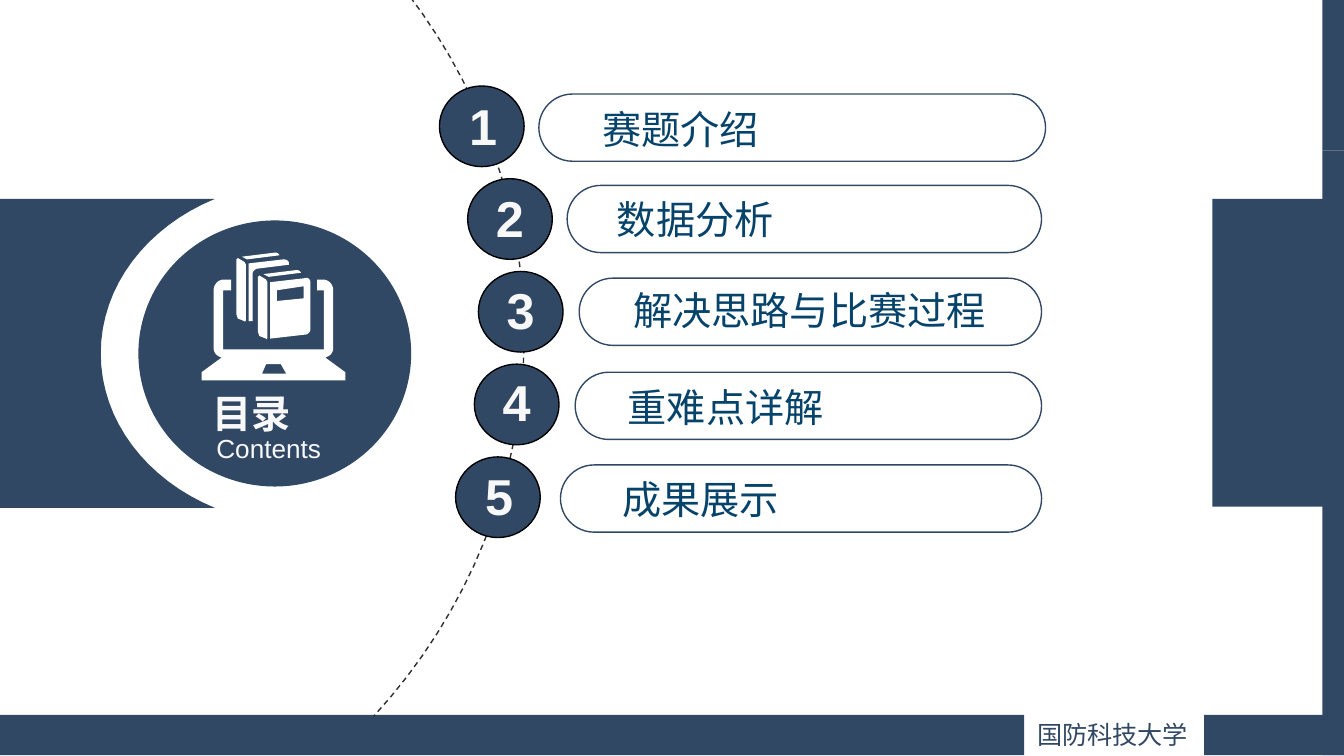
from lxml.etree import SubElement
from pptx import Presentation
from pptx.dml.color import RGBColor
from pptx.enum.dml import MSO_LINE
from pptx.enum.shapes import MSO_SHAPE
from pptx.enum.text import MSO_AUTO_SIZE, PP_ALIGN
from pptx.oxml.ns import qn
from pptx.util import Inches, Pt

NAVY = RGBColor(0x31, 0x48, 0x65)
BLUE = RGBColor(0x06, 0x43, 0x6B)
PALE = RGBColor(0xF8, 0xF8, 0xF8)
WHITE = RGBColor(0xFF, 0xFF, 0xFF)
BLACK = RGBColor(0, 0, 0)
CHARCOAL = RGBColor(0x2E, 0x2C, 0x2C)
LATIN_FONT = "Arial"
CHINESE_FONT = "Noto Sans CJK SC"

# title, circle left, pill (left, top, width), title (left, top, width), number (left, top)
TOPICS = [
    ("赛题介绍", 3.27, (4.01, 0.70, 3.77), (4.39, 0.74, 1.36), (3.40, 0.67)),
    ("数据分析", 3.48, (4.22, 1.38, 3.53), (4.50, 1.41, 1.36), (3.60, 1.35)),
    ("解决思路与比赛过程", 3.56, (4.31, 2.07, 3.44), (4.62, 2.09, 2.83), (3.68, 2.04)),
    ("重难点详解", 3.53, (4.28, 2.77, 3.47), (4.58, 2.81, 1.65), (3.65, 2.72)),
    ("成果展示", 3.39, (4.17, 3.46, 3.58), (4.54, 3.50, 1.36), (3.52, 3.42)),
]
CIRCLE_TOP, ROW_STEP = 0.64, 0.69

FRAME_BARS = [
    (9.84, 0, 0.16, 1.12),
    (9.84, 1.12, 0.16, 4.5),
    (0, 5.32, 7.62, 0.3),
    (8.96, 5.32, 1.04, 0.3),
]
RIGHT_BAND = (9.02, 1.48, 0.98, 2.29)

# Pairs are corners; six numbers are a Bezier curve from the previous point.
LEFT_BAND = [[
    (1.6, 3.78), (0, 3.78), (0, 1.48), (1.6, 1.48),
    (1.09, 1.69, 0.75, 2.13, 0.75, 2.63), (0.75, 3.13, 1.09, 3.57, 1.6, 3.78),
]]
GUIDE_ARC = [[
    (2.78, -0.35), (3.48, 0.41, 3.9, 1.4, 3.9, 2.49),
    (3.9, 3.57, 3.48, 4.57, 2.78, 5.33),
]]
BACK_BOOK_TOP = [(1.8, 1.91), (1.84, 1.93), (2.08, 1.9), (2.07, 1.88, 2.06, 1.88, 2.04, 1.88)]
BACK_BOOK_SPINE = [
    (1.77, 1.92), (1.82, 1.95), (1.83, 1.97), (1.83, 2.38),
    (1.83, 2.39, 1.82, 2.4, 1.82, 2.39), (1.77, 2.37), (1.76, 2.34), (1.76, 1.93),
]
FRONT_COVER = [
    (2.01, 2.1), (2.27, 2.07), (2.29, 2.06, 2.31, 2.08, 2.31, 2.1),
    (2.31, 2.45), (2.31, 2.47, 2.29, 2.49, 2.27, 2.49), (2.01, 2.52),
]
COVER_LABEL = [(2.06, 2.16), (2.26, 2.13), (2.26, 2.22), (2.06, 2.24)]
MIDDLE_BOOK = [
    (1.85, 1.96), (2.11, 1.93), (2.13, 1.93, 2.15, 1.94, 2.15, 1.96), (2.15, 1.97),
    (1.91, 2), (1.89, 2.01, 1.88, 2.02, 1.88, 2.04), (1.88, 2.39), (1.85, 2.39),
]
TOUCHPAD = [(1.98, 2.71), (2.09, 2.71), (2.13, 2.78), (1.95, 2.78)]
LAPTOP = [
    (1.66, 2.16), (1.72, 2.16), (1.72, 2.08), (1.67, 2.08),
    (1.62, 2.08, 1.59, 2.12, 1.59, 2.16), (1.59, 2.59),
    (1.59, 2.62, 1.61, 2.65, 1.65, 2.66), (1.5, 2.77), (1.5, 2.83), (2.57, 2.83),
    (2.57, 2.77), (2.42, 2.66), (2.46, 2.65, 2.48, 2.62, 2.48, 2.59), (2.48, 2.16),
    (2.48, 2.12, 2.45, 2.08, 2.4, 2.08), (2.36, 2.08), (2.36, 2.16), (2.41, 2.16),
    (2.41, 2.6), (1.66, 2.6),
]


def shifted(contour, across, down):
    return [
        tuple(value + (down if i % 2 else across) for i, value in enumerate(point))
        for point in contour
    ]


ICON = [
    TOUCHPAD, BACK_BOOK_TOP, BACK_BOOK_SPINE,
    shifted(BACK_BOOK_TOP, 0.16, 0.13), shifted(BACK_BOOK_SPINE, 0.16, 0.13),
    FRONT_COVER, COVER_LABEL, MIDDLE_BOOK, LAPTOP,
]


def flatten(contour, steps=16):
    points = []
    for item in contour:
        if len(item) == 2:
            points.append(item)
            continue
        x0, y0 = points[-1]
        x1, y1, x2, y2, x3, y3 = item
        for step in range(1, steps + 1):
            t = step / steps
            a, b, c, d = (1 - t) ** 3, 3 * t * (1 - t) ** 2, 3 * t * t * (1 - t), t ** 3
            points.append((a * x0 + b * x1 + c * x2 + d * x3,
                           a * y0 + b * y1 + c * y2 + d * y3))
    return [(Inches(x), Inches(y)) for x, y in points]


def style(shape, fill=None, line=None, width=0.75):
    shape.shadow.inherit = False
    if fill is None:
        shape.fill.background()
    else:
        shape.fill.solid()
        shape.fill.fore_color.rgb = fill
    if line is None:
        shape.line.fill.background()
    else:
        shape.line.color.rgb = line
        shape.line.width = Pt(width)
    return shape


def add_shape(page, kind, area, **look):
    return style(page.shapes.add_shape(kind, *map(Inches, area)), **look)


def add_outline(page, contours, close=True, **look):
    builder = None
    for contour in contours:
        start, *rest = flatten(contour)
        if builder is None:
            builder = page.shapes.build_freeform(*start)
        else:
            builder.move_to(*start)
        builder.add_line_segments(rest, close=close)
    return style(builder.convert_to_shape(), **look)


def add_text(page, text, area, size, color, font=LATIN_FONT, bold=False,
             wrap=False, align=PP_ALIGN.LEFT, insets=(0.09, 0.04)):
    frame = page.shapes.add_textbox(*map(Inches, area)).text_frame
    frame.word_wrap = wrap
    frame.auto_size = MSO_AUTO_SIZE.SHAPE_TO_FIT_TEXT
    frame.margin_left = frame.margin_right = Inches(insets[0])
    frame.margin_top = frame.margin_bottom = Inches(insets[1])
    frame.text = text
    paragraph = frame.paragraphs[0]
    paragraph.alignment = align
    span = paragraph.runs[0]
    span.font.size = Pt(size)
    span.font.bold = bold
    span.font.color.rgb = color
    span.font.name = font
    SubElement(span.font._element, qn("a:ea")).set("typeface", CHINESE_FONT)


def main():
    deck = Presentation()
    deck.slide_width = Inches(10)
    deck.slide_height = deck.slide_width * 9 // 16
    page = deck.slides.add_slide(deck.slide_layouts[6])

    for area in FRAME_BARS:
        add_shape(page, MSO_SHAPE.RECTANGLE, area, fill=NAVY)
    add_text(page, "国防科技大学", (7.62, 5.3, 1.34, 0.33), 13.5, NAVY,
             font=CHINESE_FONT, insets=(0.1, 0.05))
    add_shape(page, MSO_SHAPE.RECTANGLE, RIGHT_BAND, fill=NAVY)
    add_outline(page, LEFT_BAND, fill=NAVY)
    arc = add_outline(page, GUIDE_ARC, close=False, line=CHARCOAL, width=0)
    arc.line.dash_style = MSO_LINE.DASH

    for row, (_, circle_left, *_) in enumerate(TOPICS):
        add_shape(page, MSO_SHAPE.OVAL, (circle_left, CIRCLE_TOP + row * ROW_STEP, 0.63, 0.6),
                  fill=NAVY, line=BLACK)
    for _, _, pill_place, _, _ in TOPICS:
        pill = add_shape(page, MSO_SHAPE.ROUNDED_RECTANGLE, (*pill_place, 0.5), line=NAVY)
        pill.adjustments[0] = 0.5
    for title, _, _, title_place, _ in TOPICS:
        add_text(page, title, (*title_place, 0.44), 21, BLUE)
    for number, (*_, number_place) in enumerate(TOPICS, 1):
        add_text(page, str(number), (*number_place, 0.37, 0.54), 27, PALE, bold=True)

    add_shape(page, MSO_SHAPE.OVAL, (1.03, 1.64, 2.03, 1.98), fill=NAVY)
    add_outline(page, ICON, fill=WHITE)
    add_text(page, "目录", (1.49, 2.86, 1, 0.44), 21, PALE, bold=True, wrap=True,
             align=PP_ALIGN.JUSTIFY)
    add_text(page, "Contents", (1.52, 3.18, 0.97, 0.33), 14, PALE)
    deck.save("out.pptx")


if __name__ == "__main__":
    main()
